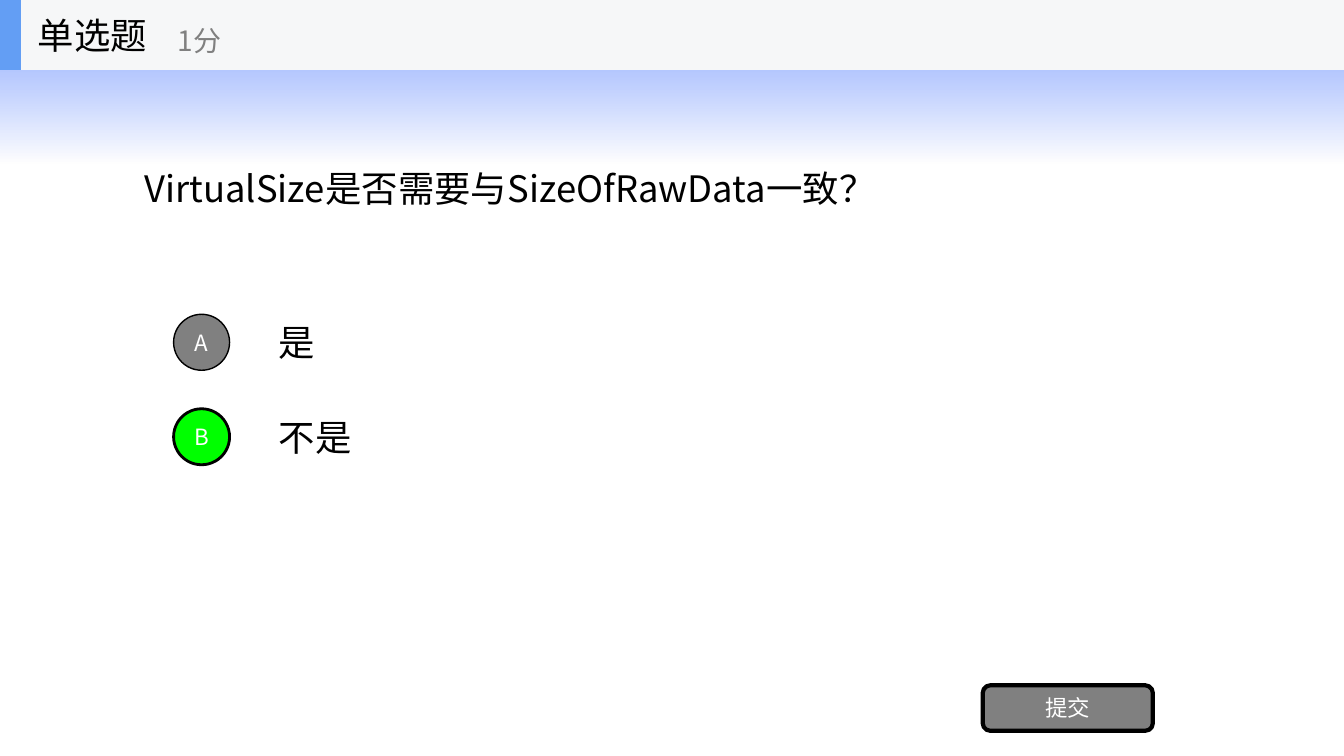
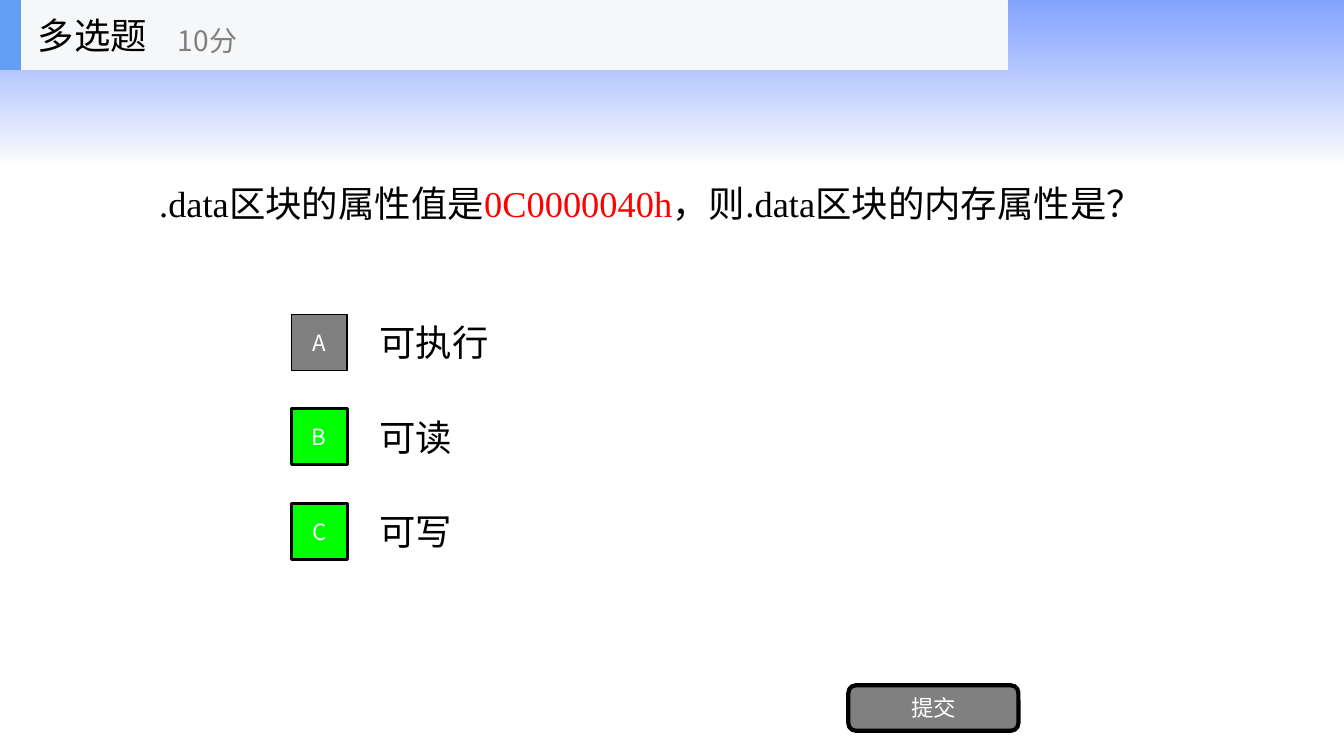
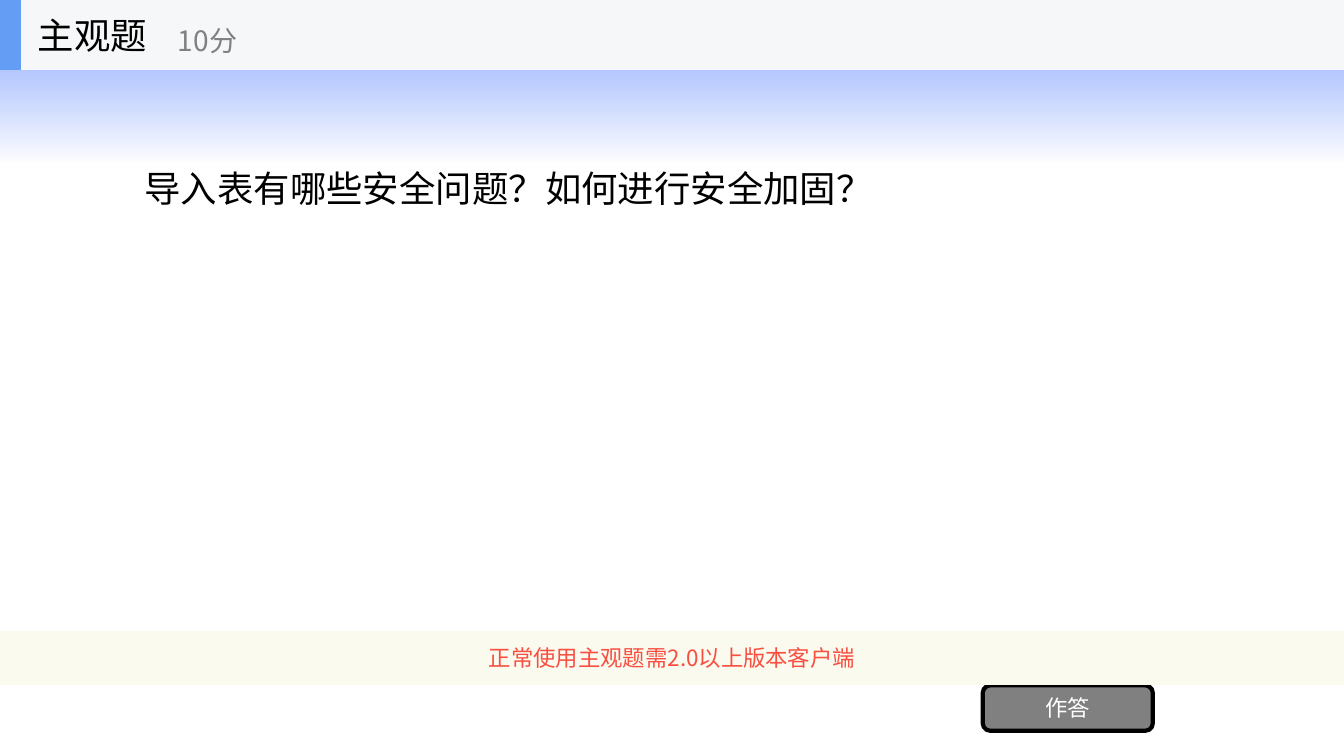
from lxml import etree
from pptx import Presentation
from pptx.dml.color import RGBColor
from pptx.enum.shapes import MSO_SHAPE
from pptx.enum.text import MSO_ANCHOR, MSO_AUTO_SIZE, PP_ALIGN
from pptx.oxml.ns import qn
from pptx.util import Pt

RECTANGLE, ELLIPSE = MSO_SHAPE.RECTANGLE, MSO_SHAPE.OVAL
ROUNDED = MSO_SHAPE.ROUNDED_RECTANGLE
LEFT, CENTER = PP_ALIGN.LEFT, PP_ALIGN.CENTER
MIDDLE, NO_FIT = MSO_ANCHOR.MIDDLE, MSO_AUTO_SIZE.NONE

WIDTH, HEIGHT = 960, 540
TITLE_ONLY = 5


def rgb(value):
    return RGBColor.from_string(value)


class QuizDeck:
    """Shared quiz style and the slide being built."""

    FONT, LATIN_FONT = "Noto Sans CJK SC", "Times New Roman"
    BLACK, WHITE, GRAY, RED = "000000", "FFFFFF", "808080", "FF0000"
    GREEN, BAND, ACCENT = "00FF00", "F6F7F8", "639EF4"
    NOTICE_FILL, NOTICE_TEXT = "FBFAEF", "F84F41"
    GLOW = [("3366FF", 60), ("FFFFFF", 70)]  # colour, opacity in percent
    LARGE, MEDIUM, SMALL = 26, 20, 16
    HEADER_HEIGHT, MARKER, ROW_HEIGHT = 50, 40, 50
    FIRST_ROW, ROW_STEP = 244.5, 67.5  # row centres

    def __init__(self):
        self.presentation = Presentation()
        self.presentation.slide_width = Pt(WIDTH)
        self.presentation.slide_height = Pt(HEIGHT)
        self.layout = self.presentation.slide_layouts[TITLE_ONLY]
        self.slide = None

    def new_slide(self):
        first = self.slide is None
        self.slide = self.presentation.slides.add_slide(self.layout)
        if first:
            self.add_layout_glow()

    def add_layout_glow(self):
        """Put the fading top band on the layout, behind every slide."""
        glow = self.shape(self.slide.shapes, RECTANGLE, (0, 0, WIDTH, 116.5), self.WHITE)
        glow.fill.gradient()
        glow.fill.gradient_angle = 270
        for stop, (color, opacity) in zip(glow.fill.gradient_stops, self.GLOW):
            stop.color.rgb = rgb(color)
        colors = glow._element.iter(qn("a:srgbClr"))
        for element, (color, opacity) in zip(colors, self.GLOW):
            etree.SubElement(element, qn("a:alpha"), val=str(opacity * 1000))
        self.layout.shapes._spTree.insert(2, glow._element)

    def shape(self, shapes, kind, box, fill, line_width=0):
        shape = shapes.add_shape(kind, *map(Pt, box))
        shape.shadow.inherit = False
        shape.fill.solid()
        shape.fill.fore_color.rgb = rgb(fill)
        if line_width:
            shape.line.color.rgb = rgb(self.BLACK)
            shape.line.width = Pt(line_width)
        else:
            shape.line.fill.background()
        return shape

    def set_text(self, shape, runs, size, alignment=LEFT, font=FONT):
        """Fill a shape with one paragraph of (text, colour) runs."""
        frame = shape.text_frame
        settings = {"word_wrap": True, "vertical_anchor": MIDDLE, "auto_size": NO_FIT}
        for name, value in settings.items():
            setattr(frame, name, value)
        paragraph = frame.paragraphs[0]
        paragraph.alignment = alignment
        for text, color in runs:
            run = paragraph.add_run()
            run.text = text
            for name, value in {"size": Pt(size), "name": font, "bold": False}.items():
                setattr(run.font, name, value)
            run.font.color.rgb = rgb(color)
            etree.SubElement(run._r.get_or_add_rPr(), qn("a:ea"), typeface=self.FONT)

    def text(self, shapes, box, text, size, color=BLACK):
        self.set_text(shapes.add_textbox(*map(Pt, box)), [(text, color)], size)

    def question(self, box, runs, font=FONT):
        title = self.slide.shapes.title
        for name, value in zip(("left", "top", "width", "height"), box):
            setattr(title, name, Pt(value))
        self.set_text(title, runs, self.LARGE, font=font)

    def options(self, kind, marker_left, text_left, text_width, answers):
        """Lettered rows; answers are (text, is_correct)."""
        for row, (answer, correct) in enumerate(answers):
            center = self.FIRST_ROW + row * self.ROW_STEP
            self.text(self.slide.shapes,
                      (text_left, center - self.ROW_HEIGHT / 2, text_width, self.ROW_HEIGHT),
                      answer, self.LARGE)
            marker = self.shape(
                self.slide.shapes, kind,
                (marker_left, center - self.MARKER / 2, self.MARKER, self.MARKER),
                self.GREEN if correct else self.GRAY, 2 if correct else 1)
            self.set_text(marker, [("ABCDEF"[row], self.WHITE)], self.SMALL, CENTER)

    def button(self, left, label):
        button = self.shape(self.slide.shapes, ROUNDED, (left, 489.5, 121.5, 32.5), self.GRAY, 3)
        self.set_text(button, [(label, self.WHITE)], self.SMALL, CENTER)

    def notice(self, text):
        band = self.shape(self.slide.shapes, RECTANGLE, (0, 450.75, WIDTH, 38.5), self.NOTICE_FILL)
        self.set_text(band, [(text, self.NOTICE_TEXT)], self.SMALL, CENTER)

    def header(self, kind, score, width=WIDTH):
        shapes = self.slide.shapes.add_group_shape().shapes
        self.shape(shapes, RECTANGLE, (0, 0, width, self.HEADER_HEIGHT), self.BAND)
        self.shape(shapes, RECTANGLE, (0, 0, 15, self.HEADER_HEIGHT), self.ACCENT)
        self.text(shapes, (20, 0, 150, self.HEADER_HEIGHT), kind, self.LARGE)
        self.text(shapes, (120, 8.75, 180, 40), score, self.MEDIUM, self.GRAY)


def main():
    deck = QuizDeck()
    question_box = (96, 50, 768, 168.5)

    # Single choice
    deck.new_slide()
    deck.question(question_box, [("VirtualSize是否需要与SizeOfRawData一致？", deck.BLACK)])
    deck.options(ELLIPSE, 124, 192, 672, [("是", False), ("不是", True)])
    deck.button(702, "提交")
    deck.header("单选题", "1分")

    # Multiple choice
    deck.new_slide()
    deck.question((106.5, 60.5, 747.5, 168.5),
                  [(".data区块的属性值是", deck.BLACK),
                   ("0C0000040h", deck.RED),
                   ("，则.data区块的内存属性是？", deck.BLACK)],
                  deck.LATIN_FONT)
    deck.options(RECTANGLE, 208, 264, 504,
                 [("可执行", False), ("可读", True), ("可写", True)])
    deck.button(606, "提交")
    deck.header("多选题", "10分", 720)

    # Open question
    deck.new_slide()
    deck.question(question_box, [("导入表有哪些安全问题？如何进行安全加固？", deck.BLACK)])
    deck.button(702, "作答")
    deck.notice("正常使用主观题需2.0以上版本客户端")
    deck.header("主观题", "10分")

    deck.presentation.save("out.pptx")


if __name__ == "__main__":
    main()
